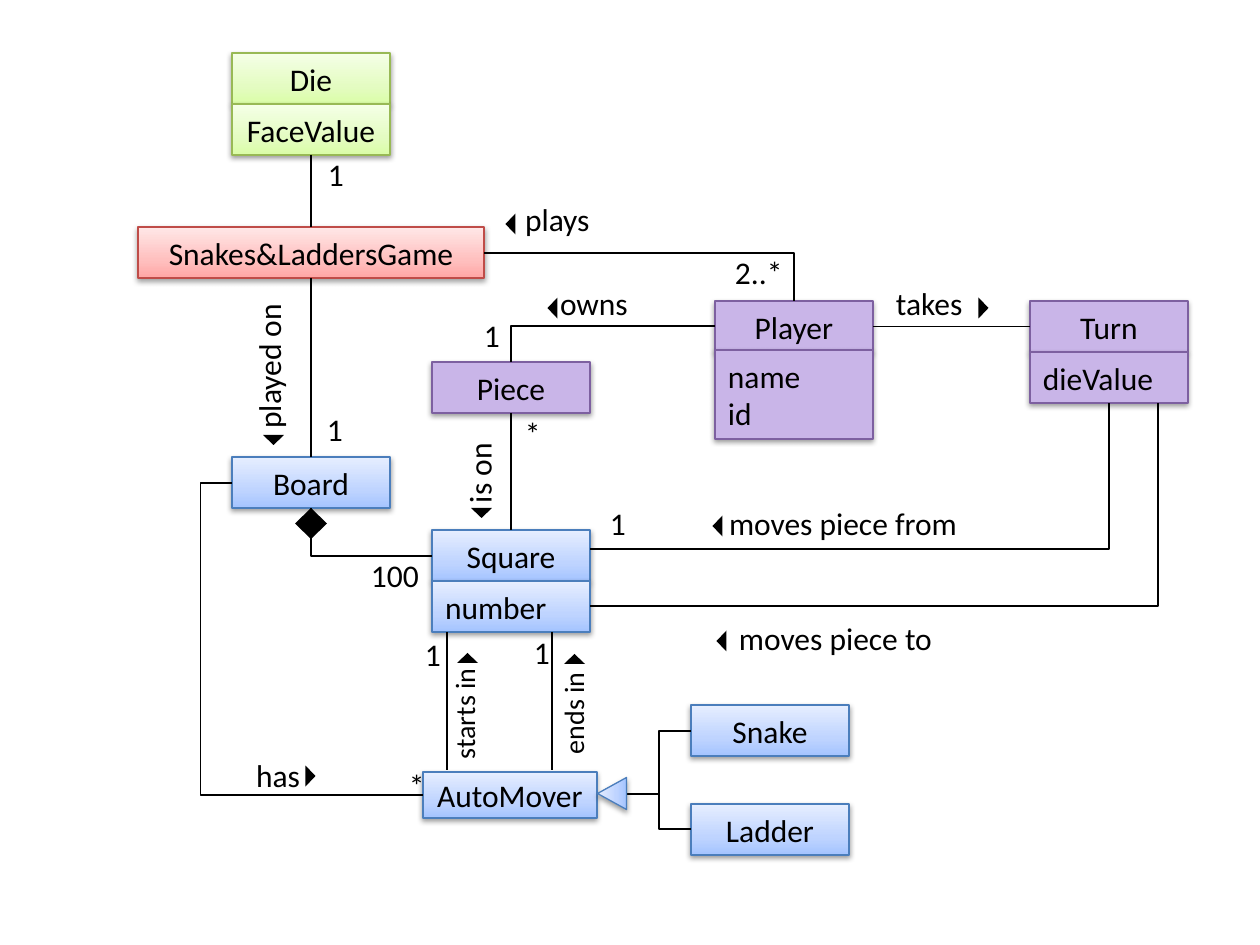
from copy import deepcopy
from lxml.etree import SubElement
from pptx import Presentation
from pptx.dml.color import RGBColor
from pptx.enum.shapes import MSO_CONNECTOR, MSO_SHAPE
from pptx.enum.text import MSO_ANCHOR, PP_ALIGN
from pptx.oxml.ns import qn
from pptx.util import Pt

SCALE = 914400 / 126
BLACK = RGBColor(0, 0, 0)
BLUE = [RGBColor(0xA4, 0xC4, 0xFF), RGBColor(0xBF, 0xD4, 0xFF), RGBColor(0xE6, 0xEE, 0xFF)]
GREEN = [RGBColor(0xDA, 0xFD, 0xA7), RGBColor(0xE4, 0xFC, 0xC2), RGBColor(0xF5, 0xFF, 0xE7)]
RED = [RGBColor(0xFF, 0xA6, 0xA5), RGBColor(0xFF, 0xC0, 0xBF), RGBColor(0xFF, 0xE7, 0xE7)]
PURPLE = [RGBColor(0xC9, 0xB5, 0xE8)]
LOOKS = {
    "blue": (BLUE, RGBColor(0x4B, 0x7E, 0xBC)),
    "green": (GREEN, RGBColor(0x98, 0xB9, 0x55)),
    "red": (RED, RGBColor(0xBF, 0x4C, 0x48)),
    "purple": (PURPLE, RGBColor(0x7D, 0x60, 0xA0)),
}
STOPS = (0, 0.35, 1)
WIDE, HIGH = 158, 51
INSET = 13
CENTER, LEFT = PP_ALIGN.CENTER, PP_ALIGN.LEFT

# name, look, left, top, width, height, alignment
BOXES = [
    ("Snakes&LaddersGame", "red", 138, 227, 346, HIGH, CENTER),
    ("Player", "purple", 715, 301, WIDE, HIGH, CENTER),
    ("name\nid", "purple", 715, 350, WIDE, 89, LEFT),
    ("Piece", "purple", 432, 362, WIDE, HIGH, CENTER),
    ("Turn", "purple", 1030, 301, WIDE, HIGH, CENTER),
    ("dieValue", "purple", 1030, 352, WIDE, HIGH, LEFT),
    ("Board", "blue", 232, 457, WIDE, HIGH, CENTER),
    ("Square", "blue", 432, 530, WIDE, HIGH, CENTER),
    ("number", "blue", 432, 581, WIDE, HIGH, LEFT),
    ("AutoMover", "blue", 423, 772, 174, 46, CENTER),
    ("Die", "green", 232, 53, WIDE, HIGH, CENTER),
    ("FaceValue", "green", 232, 104, WIDE, HIGH, CENTER),
    ("Snake", "blue", 691, 705, WIDE, HIGH, CENTER),
    ("Ladder", "blue", 691, 804, WIDE, HIGH, CENTER),
]
JOINS = [
    ("FaceValue", 2, "Snakes&LaddersGame", 0),
    ("Snakes&LaddersGame", 2, "Board", 0),
    ("Piece", 2, "Square", 0),
    ("Player", 3, "Turn", 1),
]
MOVES = [(447, 632, 447, 770), (552, 632, 552, 770)]
CORNERS = [
    (484, 253, 794, 301),
    (715, 326, 511, 362),
    (432, 556, 311, 508),
    (590, 549, 1109, 403),
    (590, 606, 1158, 403),
]
ELBOWS = [
    (423, 795, 232, 483, 116500),
    (691, 829, 627, 794, 50000),
    (691, 731, 627, 794, 50000),
]
# text, left, top, width, height, indent, rotation, size
LABELS = [
    ("plays", 484, 194, 147, 50, 28, 0, 18),
    ("owns", 547, 278, 147, 50, 0, 0, 18),
    ("takes", 883, 278, 126, 50, 0, 0, 18),
    ("played on", 174, 336, 189, 50, 14, 270, 18),
    ("is on", 421, 447, 116, 50, 14, 270, 18),
    ("starts in", 389, 673, 151, 47, 0, 270, 16),
    ("ends in", 513, 683, 121, 47, 0, 270, 16),
    ("moves piece from", 716, 498, 284, 50, 0, 0, 18),
    ("moves piece to", 726, 613, 221, 50, 0, 0, 18),
    ("has", 243, 750, 147, 50, 0, 0, 18),
    ("100", 358, 550, 73, 50, 0, 0, 18),
    ("2..*", 715, 247, 84, 50, 7, 0, 18),
]
COUNTS = [
    ("1", 464, 310), ("*", 505, 408), ("1", 590, 498), ("1", 405, 629),
    ("*", 389, 760), ("1", 514, 627), ("1", 307, 404), ("1", 308, 149),
]
LABELS += [(mark, x, y, 53, 53, 7, 0, 18) for mark, x, y in COUNTS]
HEADS = [
    (457, 653, 0), (564, 654, 0), (707, 521, 270), (973, 303, 90), (711, 636, 270),
    (300, 771, 90), (471, 508, 180), (542, 303, 270), (500, 219, 270), (263, 435, 180),
]


def px(n):
    return round(n * SCALE)


def put(kind, x, y, w, h, turn=0):
    shape = slide.shapes.add_shape(kind, *map(px, (x, y, w, h)))
    shape.rotation = turn
    shape.shadow.inherit = False
    return shape


def ink(shape):
    shape.fill.solid()
    shape.fill.fore_color.rgb = BLACK
    shape.line.fill.background()


def paint(shape, look):
    shades, edge = LOOKS[look]
    fill = shape.fill
    if len(shades) == 1:
        fill.solid()
        fill.fore_color.rgb = shades[0]
    else:
        fill.gradient()
        fill.gradient_angle = 90
        stops = shape.element.spPr.find(".//" + qn("a:gsLst"))
        stops.append(deepcopy(stops[-1]))
        for stop, spot, shade in zip(fill.gradient_stops, STOPS, shades):
            stop.position = spot
            stop.color.rgb = shade
    shape.line.color.rgb = edge
    shape.line.width = Pt(0.75)
    cast = SubElement(shape.element.spPr.find(qn("a:effectLst")), qn("a:outerShdw"),
                      blurRad=str(Pt(3.1)), dist=str(Pt(1.6)), dir="5400000", rotWithShape="0")
    tint = SubElement(cast, qn("a:srgbClr"), val="000000")
    SubElement(tint, qn("a:alpha"), val="38000")


def write(shape, text, align, anchor, size=18, indent=0, right=INSET):
    frame = shape.text_frame
    form = {"word_wrap": True, "vertical_anchor": anchor,
            "margin_left": px(INSET + indent), "margin_right": px(right)}
    for key, value in form.items():
        setattr(frame, key, value)
    frame.text = text
    for para in frame.paragraphs:
        para.alignment = align
        for key, value in {"name": "Calibri", "size": Pt(size)}.items():
            setattr(para.font, key, value)
        para.font.color.rgb = BLACK


def link(kind, x1, y1, x2, y2):
    line = slide.shapes.add_connector(kind, *map(px, (x1, y1, x2, y2)))
    line.line.color.rgb = BLACK
    line.line.width = Pt(0.75)
    SubElement(line.element.spPr, qn("a:effectLst"))
    return line


deck = Presentation()
deck.slide_width, deck.slide_height = px(1260), px(945)
slide = deck.slides.add_slide(deck.slide_layouts[6])

boxes = {}
for name, look, x, y, w, h, align in BOXES:
    box = boxes[name] = put(MSO_SHAPE.RECTANGLE, x, y, w, h)
    paint(box, look)
    write(box, name, align, MSO_ANCHOR.MIDDLE)

for start, side, end, port in JOINS:
    line = link(MSO_CONNECTOR.STRAIGHT, 0, 0, 0, 0)
    line.begin_connect(boxes[start], side)
    line.end_connect(boxes[end], port)
for ends in MOVES:
    link(MSO_CONNECTOR.STRAIGHT, *ends)
for ends in CORNERS:
    line = link(MSO_CONNECTOR.ELBOW, *ends)
    line.element.spPr.find(qn("a:prstGeom")).set("prst", "bentConnector2")
for *ends, bend in ELBOWS:
    line = link(MSO_CONNECTOR.ELBOW, *ends)
    guides = line.element.spPr.find(".//" + qn("a:avLst"))
    SubElement(guides, qn("a:gd"), name="adj1", fmla=f"val {bend}")

for text, x, y, w, h, indent, turn, size in LABELS:
    label = slide.shapes.add_textbox(*map(px, (x, y, w, h)))
    label.rotation = turn
    write(label, text, LEFT, MSO_ANCHOR.TOP, size, indent, 0)

for x, y, turn in HEADS:
    ink(put(MSO_SHAPE.ISOSCELES_TRIANGLE, x, y, 21, 10, turn))
ink(put(MSO_SHAPE.FLOWCHART_DECISION, 295, 508, 32, 31))
paint(put(MSO_SHAPE.ISOSCELES_TRIANGLE, 596, 779, 32, 29, 270), "blue")

deck.save("out.pptx")
